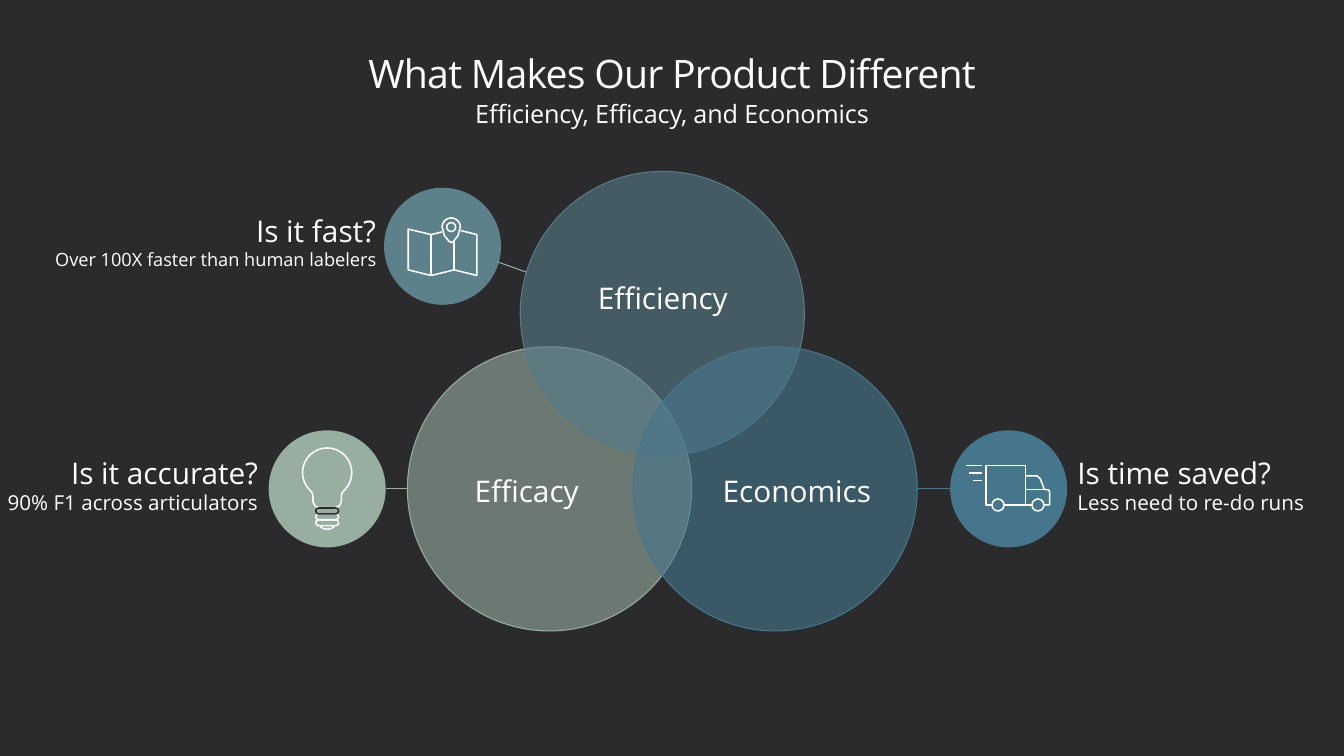
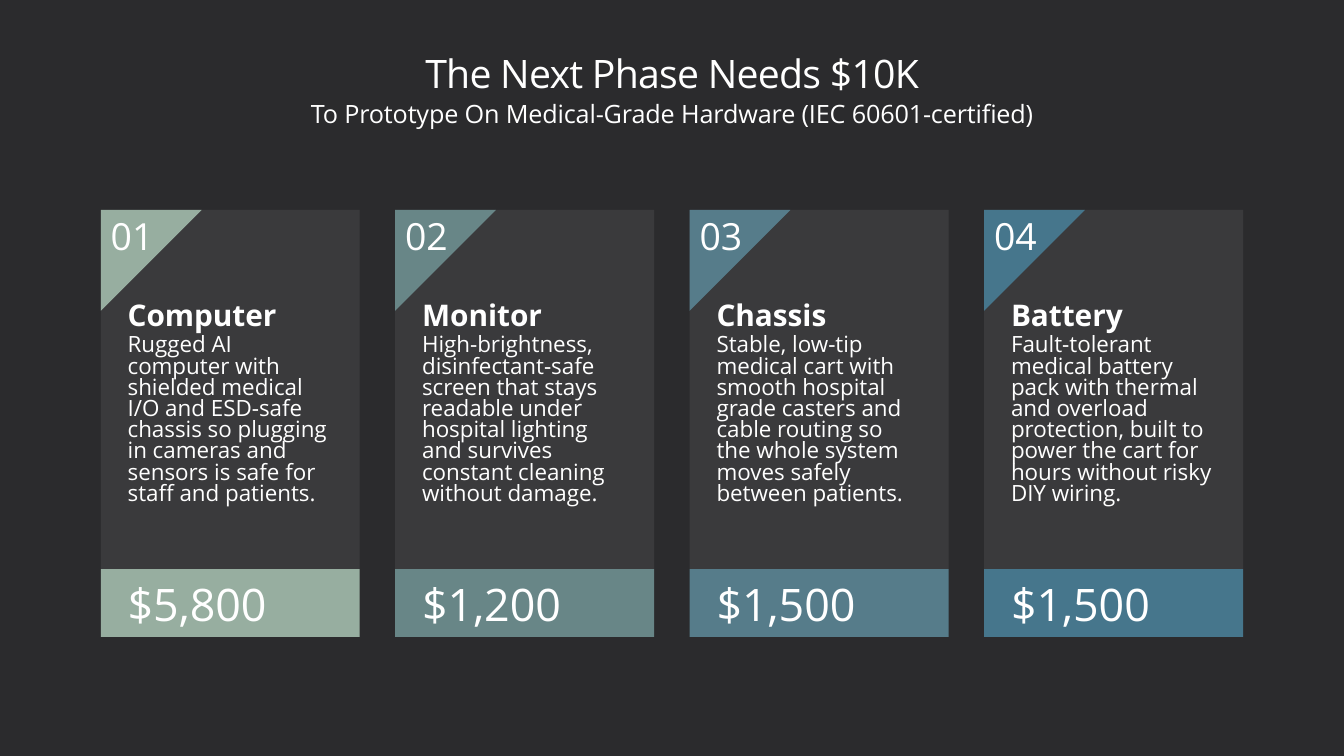
import math

import lxml.etree
import pptx
import pptx.dml.color
import pptx.enum.shapes
import pptx.enum.text
import pptx.oxml.ns
import pptx.util

Pt = pptx.util.Pt
SHAPE = pptx.enum.shapes.MSO_SHAPE
ALIGN = pptx.enum.text.PP_ALIGN
ANCHOR = pptx.enum.text.MSO_ANCHOR
WHITE, DARK, CARD = "FFFFFF", "2B2B2D", "939398"
SAGE, TEAL, SLATE, BLUE, MAP_TEAL = "97AEA0", "688687", "567C8A", "46768C", "5C818A"
DEFAULT_INSETS = (7.2, 3.6, 7.2, 3.6)


def color(hex_string):
    """Return the RGB colour for a hex string."""
    return pptx.dml.color.RGBColor.from_string(hex_string)


def arc(center_x, center_y, radius_x, radius_y, start, end):
    """Return points along an elliptic arc, angles in degrees."""
    angles = [math.radians(start + (end - start) * step / 24) for step in range(25)]
    return [(center_x + radius_x * math.cos(a), center_y + radius_y * math.sin(a))
            for a in angles]


def set_format(target, values):
    """Set every attribute in a dict of format values."""
    for name, value in values.items():
        setattr(target, name, value)


class Deck:
    """Hold the shared style and the current slide."""

    def __init__(self):
        """Create a wide presentation with a dark background."""
        self.presentation = pptx.Presentation()
        set_format(self.presentation, {"slide_width": Pt(960), "slide_height": Pt(540)})
        background = self.presentation.slide_master.background.fill
        background.solid()
        background.fore_color.rgb = color(DARK)
        self.slide = None

    def new_slide(self, title, subtitle):
        """Add a slide with its title and subtitle."""
        self.slide = self.presentation.slides.add_slide(self.presentation.slide_layouts[5])
        shape = self.slide.shapes.title
        set_format(shape, {"left": Pt(72), "top": Pt(22.3), "width": Pt(816), "height": Pt(64)})
        self.set_text(shape, [(title, 28, False)], ALIGN.CENTER, 0.86,
                      ANCHOR.MIDDLE, (0, 0, 0, 0), tracking=-50)
        self.text_box((72, 73.4, 816, 31.7), [(subtitle, 18, False)], ALIGN.CENTER,
                      0.86, insets=(0, 0, 0, 0), tracking=-10)

    def set_text(self, shape, lines, alignment=ALIGN.LEFT, spacing=1.0, anchor=ANCHOR.TOP,
                 insets=DEFAULT_INSETS, wrap=True, after=0, tracking=0):
        """Fill a shape with (text, size, bold) paragraphs."""
        frame = shape.text_frame
        left, top, right, bottom = map(Pt, insets)
        set_format(frame, {"word_wrap": wrap, "auto_size": pptx.enum.text.MSO_AUTO_SIZE.NONE,
                           "vertical_anchor": anchor, "margin_left": left, "margin_top": top,
                           "margin_right": right, "margin_bottom": bottom})
        for index, (text, size, bold) in enumerate(lines):
            paragraph = frame.add_paragraph() if index else frame.paragraphs[0]
            set_format(paragraph, {"alignment": alignment, "line_spacing": spacing,
                                   "space_before": Pt(0), "space_after": Pt(after)})
            run = paragraph.add_run()
            run.text = text
            set_format(run.font, {"name": "Open Sans", "size": Pt(size), "bold": bold})
            run.font.color.rgb = color(WHITE)
            if tracking:
                run.font._element.set("spc", str(tracking))

    def text_box(self, box, lines, alignment=ALIGN.LEFT, spacing=0.95, **options):
        """Add a text box."""
        shape = self.slide.shapes.add_textbox(*map(Pt, box))
        self.set_text(shape, lines, alignment, spacing, **options)

    def paint(self, shape, fill=None, line=None, weight=0.75, alpha=100):
        """Set fill, outline and opacity, and drop the shadow."""
        shape.shadow.inherit = False
        if fill:
            shape.fill.solid()
            shape.fill.fore_color.rgb = color(fill)
            if alpha < 100:
                rgb = shape.element.xpath("./p:spPr/a:solidFill/a:srgbClr")[0]
                lxml.etree.SubElement(rgb, pptx.oxml.ns.qn("a:alpha"), val=str(alpha * 1000))
        else:
            shape.fill.background()
        if line:
            shape.line.color.rgb = color(line)
            shape.line.width = Pt(weight)
        else:
            shape.line.fill.background()

    def shape(self, kind, box, parent=None, **style):
        """Add a painted preset shape to the slide or a group."""
        shape = (parent or self.slide).shapes.add_shape(kind, *map(Pt, box))
        self.paint(shape, **style)
        return shape

    def line(self, start, end, line, weight=0.75, parent=None):
        """Add a straight line without shadow."""
        connector = (parent or self.slide).shapes.add_connector(
            pptx.enum.shapes.MSO_CONNECTOR.STRAIGHT, *map(Pt, (*start, *end)))
        connector.line.color.rgb = color(line)
        connector.line.width = Pt(weight)
        lxml.etree.SubElement(connector.element.spPr, pptx.oxml.ns.qn("a:effectLst"))

    def icon(self, center, fill, strokes, parts):
        """Add a disk carrying white strokes and outlined (kind, x, y, w, h, colour) parts."""
        group = self.slide.shapes.add_group_shape()
        center_x, center_y = center
        self.shape(SHAPE.OVAL, (center_x - 41.8, center_y - 41.8, 83.6, 83.6), group, fill=fill)
        for stroke in strokes:
            points = [(center_x + x, center_y + y) for x, y in stroke]
            if len(points) == 2:
                self.line(*points, WHITE, 1.1, group)
                continue
            points = [(Pt(x), Pt(y)) for x, y in points]
            builder = group.shapes.build_freeform(*points[0], scale=1.0)
            builder.add_line_segments(points[1:], close=points[0] == points[-1])
            self.paint(builder.convert_to_shape(), line=WHITE, weight=1.1)
        for kind, x, y, width, height, line in parts:
            box = (center_x + x - width / 2, center_y + y - height / 2, width, height)
            shape = self.shape(kind, box, group, line=line, weight=1.1)
            if kind == SHAPE.ROUNDED_RECTANGLE:
                shape.adjustments[0] = 0.5


def map_icon():
    """Return the strokes and parts of a folded map with a pin."""
    pin = arc(6.2, -13.7, 6.5, 6.5, 180, 360) + [(11, -7.5), (8, -3.8), (6.2, -2.6),
                                                 (4.4, -3.8), (1.4, -7.5), (-0.3, -13.7)]
    outline = [(-0.4, -10.2), (-8.1, -8.3), (-24.5, -12.2), (-24.5, 16.9), (-8.1, 20.9),
               (8.3, 16.9), (24.5, 20.9), (24.5, -8.3), (13, -11.2)]
    folds = [[(-8.1, -8.3), (-8.1, 20.9)], [(8.3, -3.6), (8.3, 16.9)]]
    return [outline, pin, *folds], [(SHAPE.OVAL, 6.2, -13.7, 6.4, 6.4, WHITE)]


def bulb_icon():
    """Return the strokes and parts of a light bulb."""
    neck = [(10.5, 3.2), (10.1, 5.7), (10.1, 9.4), (8.6, 12.3), (5.5, 13.5)]
    glass = arc(0, -11.6, 17.6, 17.6, 135, 405) + neck
    glass += [(-x, y) for x, y in reversed(neck)] + glass[:1]
    rings = [(SHAPE.ROUNDED_RECTANGLE, 0, y, 16.2, 4.2, line)
             for y, line in ((20, WHITE), (24.2, WHITE), (15.8, DARK))]
    return [glass, arc(0, 26, 5, 2.8, 0, 180)], rings


def truck_icon():
    """Return the strokes and parts of a moving truck."""
    body = [(-11.9, 11.5), (-16.2, 11.5), (-16.2, -16.6), (12.2, -16.6), (12.2, 11.5),
            (-3.3, 11.5)]
    cab = [(12.2, -9.2), (20.2, -9.2), (22.6, -7.2), (25.5, 0.4), (28.4, 0.8),
           (29.2, 1.8), (29.2, 11.5), (25.2, 11.5)]
    joints = [[(12.2, 0.4), (25.5, 0.4)], [(12.2, 11.5), (16.6, 11.5)]]
    speed = [[(x, y), (-19.4, y)] for x, y in ((-30.2, -16.6), (-28.1, -11.5), (-25.2, -6.1))]
    wheels = [(SHAPE.OVAL, x, 11.5, 8.6, 8.6, WHITE) for x in (-7.6, 20.9)]
    return [body, cab, *joints, *speed], wheels


def build_difference(deck):
    """Build the three-circle slide."""
    deck.new_slide("What Makes Our Product Different", "Efficiency, Efficacy, and Economics")
    middle = 349.2
    for index, (top, fill) in enumerate(((247.7, SAGE), (122.4, SLATE), (247.7, BLUE))):
        deck.shape(SHAPE.OVAL, (291 + 80.6 * index, top, 203, 203),
                   fill=fill, line=fill, alpha=60)
    for label, left, top in (("Efficacy", 302.4, 336.2), ("Efficiency", 399.6, 198),
                             ("Economics", 495.4, 336.2)):
        deck.text_box((left, top, 147.6, 31.7), [(label, 21.3, False)], ALIGN.CENTER)
    captions = (
        ((0, 323.3, 191.5, 49), "Is it accurate?", "90% F1 across articulators", 14.7,
         ALIGN.RIGHT),
        ((25.9, 150.5, 249.8, 46.8), "Is it fast?", "Over 100X faster than human labelers", 13,
         ALIGN.RIGHT),
        ((762.5, 323.3, 197.5, 49), "Is time saved?", "Less need to re-do runs", 14.7,
         ALIGN.LEFT))
    for box, question, answer, size, alignment in captions:
        insets = (0, 3.6, 7.2, 3.6) if alignment == ALIGN.RIGHT else DEFAULT_INSETS
        deck.text_box(box, [(question, 21.3, False), (answer, size, False)], alignment,
                      insets=insets)
    deck.icon((720.5, middle), BLUE, *truck_icon())
    deck.icon((316.1, 175.9), MAP_TEAL, *map_icon())
    deck.icon((233.7, middle), SAGE, *bulb_icon())
    deck.line((655.2, middle), (679, middle), BLUE)
    deck.line((275.6, middle), (291, middle), SAGE)
    deck.line((355.2, 187), (376, 194.4), SAGE)


def build_budget(deck):
    """Build the four-card budget slide."""
    deck.new_slide("The Next Phase Needs $10K",
                   "To Prototype On Medical-Grade Hardware (IEC 60601-certified)")
    items = (
        ("Computer", "$5,800", SAGE,
         "Rugged AI computer with shielded medical I/O and ESD‑safe chassis so plugging in "
         "cameras and sensors is safe for staff and patients."),
        ("Monitor", "$1,200", TEAL,
         "High‑brightness, disinfectant‑safe screen that stays readable under hospital "
         "lighting and survives constant cleaning without damage."),
        ("Chassis", "$1,500", SLATE,
         "Stable, low‑tip medical cart with smooth hospital grade casters and cable routing "
         "so the whole system moves safely between patients."),
        ("Battery", "$1,500", BLUE,
         "Fault‑tolerant medical battery pack with thermal and overload protection, built to "
         "power the cart for hours without risky DIY wiring."))
    width, top = 185, 150
    step = (816 - width) / (len(items) - 1)
    for index, (name, price, fill, description) in enumerate(items):
        left = 72 + step * index
        card = deck.shape(SHAPE.RECTANGLE, (left, top, width, 256.3), fill=CARD, alpha=15)
        deck.set_text(card, [(name, 21.3, True), (description, 16, False)], spacing=0.79,
                      insets=(19.2, 67, 19.2, 19.2), after=2.7)
        corner = deck.shape(SHAPE.DIAGONAL_STRIPE, (left, top, 72, 72), fill=fill)
        corner.adjustments[0] = 0
        deck.set_text(corner, [(f"{index + 1:02}", 26.7, False)], anchor=ANCHOR.MIDDLE,
                      wrap=False)
        band = deck.shape(SHAPE.RECTANGLE, (left, 406.6, width, 48.4), fill=fill)
        deck.set_text(band, [(price, 32, False)], anchor=ANCHOR.MIDDLE,
                      insets=(19.2, 4.8, 19.2, 4.8))


def main():
    """Build and save the presentation."""
    deck = Deck()
    build_difference(deck)
    build_budget(deck)
    deck.presentation.save("out.pptx")


if __name__ == "__main__":
    main()
